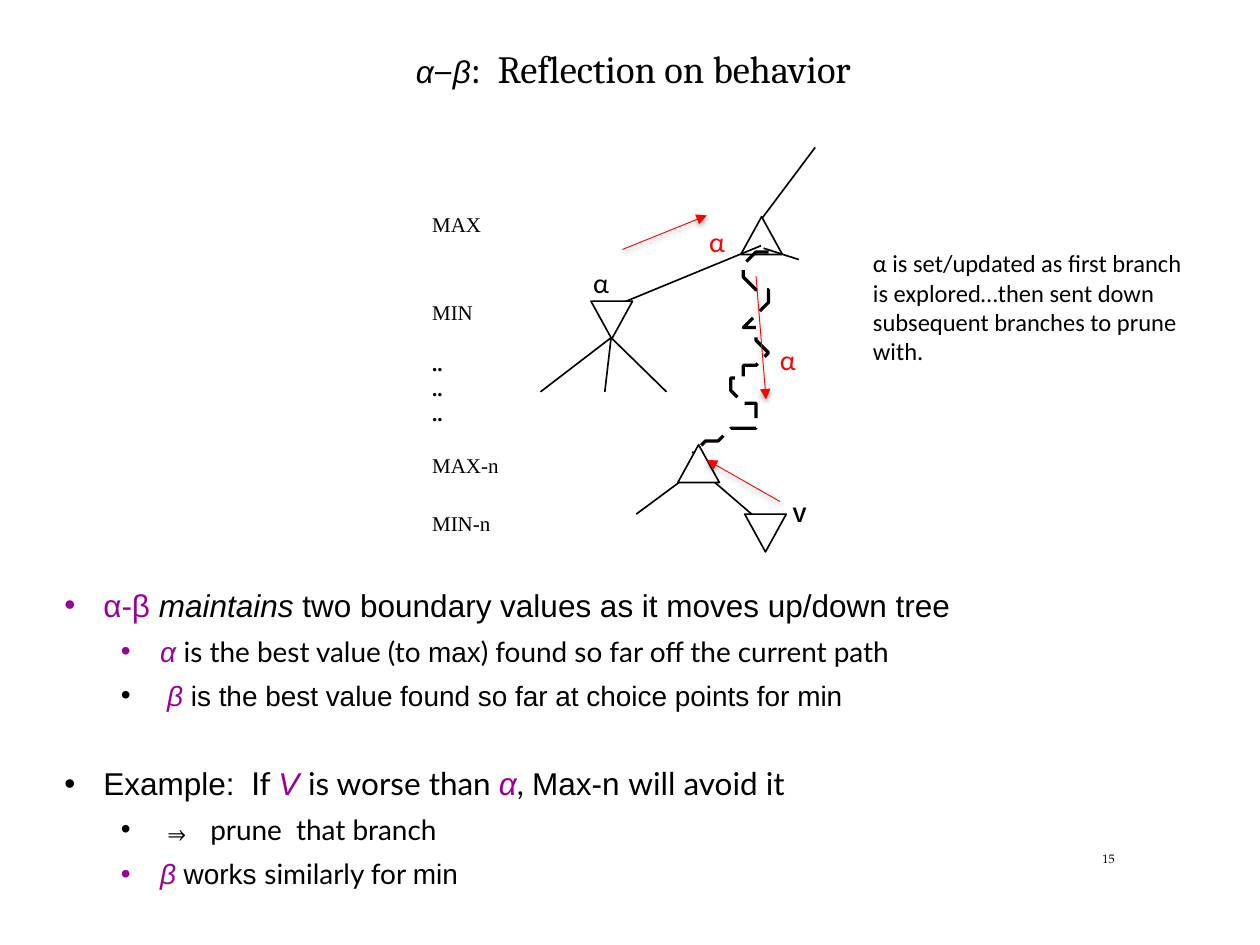
from pptx import Presentation
from pptx.dml.color import RGBColor as RGB
from pptx.enum.shapes import MSO_CONNECTOR as CONN, MSO_SHAPE as SHAPE
from pptx.enum.dml import MSO_LINE as DASH
from pptx.oxml import parse_xml
from pptx.oxml.ns import nsdecls
from pptx.util import Inches, Pt

THEME = {
    "ink": "000000", "paper": "FFFFFF", "accent": "990099", "signal": "FF0000",
    "line": 0.94, "wave": 1.87, "arrow": 0.5,
    "title": 22, "head": 18, "sub": 16, "note": 14, "label": 12, "page": 7,
}

prs = Presentation()
prs.slide_width, prs.slide_height = Inches(10), Inches(7.5)
COL, ROW = prs.slide_width / 100, prs.slide_height / 75
s = prs.slides.add_slide(prs.slide_layouts[6])


def add_text(x, y, w, h, paragraphs, inset=(0, 0), wrap=True):
    """Each paragraph is (format dict, runs); a run is (text, font, size, colour, extras)."""
    tf = s.shapes.add_textbox(int(x * COL), int(y * ROW), int(w * COL), int(h * ROW)).text_frame
    tf.word_wrap = wrap
    tf.margin_left = tf.margin_right = Inches(inset[0])
    tf.margin_top = tf.margin_bottom = Inches(inset[1])
    for i, (fmt, runs) in enumerate(paragraphs):
        p = tf.paragraphs[0] if i == 0 else tf.add_paragraph()
        for name, value in fmt.items():
            setattr(p, name, value)
        for text, font, size, color, *extras in runs:
            for n, part in enumerate(text.split("\n")):
                if n:
                    p.add_line_break()
                r = p.add_run()
                r.text = part
                r.font.color.rgb = RGB.from_string(THEME[color])
                look = {"name": font, "size": Pt(THEME[size])}
                look.update({extra: True for extra in extras})
                for name, value in look.items():
                    setattr(r.font, name, value)
    return tf


def add_line(x1, y1, x2, y2, color="ink", width="line", effect=""):
    sp = s.shapes.add_connector(CONN.STRAIGHT, int(x1 * COL), int(y1 * ROW),
                                int(x2 * COL), int(y2 * ROW))
    sp.line.color.rgb = RGB.from_string(THEME[color])
    sp.line.width = Pt(THEME[width])
    sp._element.spPr.append(parse_xml(f'<a:effectLst {nsdecls("a")}>{effect}</a:effectLst>'))
    return sp


# Title
add_text(33, 4.2, 55, 4, [({"line_spacing": Pt(21.8)}, [
    ("α", "Arial", "head", "ink", "italic"),
    ("–", "Cambria", "title", "ink"),
    ("β", "Arial", "head", "ink", "italic"),
    (":  Reflection on behavior", "Cambria", "title", "ink"),
])])

# Page number
add_text(87.5, 67.6, 3, 1.5, [({}, [("15", "TeX Gyre Pagella", "page", "ink")])])

# Bullets: (level, bullet colour, space before, runs)
BULLETS = [
    (0, "accent", 6, [
        ("α-β ", "Arial", "head", "accent"),
        ("maintains", "Arial", "head", "ink", "italic"),
        (" two boundary values as it moves up/down tree", "Arial", "head", "ink")]),
    (1, "accent", 6, [
        ("α ", "Arial", "sub", "accent", "italic"),
        ("is the best value (to ", "Lato", "sub", "ink"),
        ("max", "Arial", "sub", "ink"),
        (") found so far off the current path", "Lato", "sub", "ink")]),
    (1, "ink", 6, [
        (" ", "Lato", "sub", "ink"),
        ("β", "Arial", "sub", "accent", "italic"),
        (" is the best value found so far at choice points for min", "Arial", "sub", "ink")]),
    (0, "ink", 30, [
        ("Example: ", "Arial", "head", "ink"),
        (" If ", "Lato", "head", "ink"),
        ("V ", "Arial", "head", "accent", "italic"),
        ("is worse than ", "Lato", "head", "ink"),
        ("α", "Arial", "head", "accent", "italic"),
        (", ", "Lato", "head", "ink"),
        ("Max-n ", "Arial", "head", "ink"),
        ("will avoid it", "Lato", "head", "ink")]),
    (1, "ink", 6, [
        ("⇒ ", "Noto Sans Mono", "sub", "ink"),
        ("prune  that branch", "Lato", "sub", "ink")]),
    (1, "accent", 6, [
        ("β ", "Arial", "sub", "accent", "italic"),
        ("works ", "Arial", "sub", "ink"),
        ("similarly for ", "Lato", "sub", "ink"),
        ("min", "Arial", "sub", "ink")]),
]
tf = add_text(5, 46.5, 79.2, 24.3, [
    ({"level": level, "space_before": Pt(gap)}, runs) for level, _, gap, runs in BULLETS])
for p, (level, color, _, _) in zip(tf.paragraphs, BULLETS):
    pPr = p._p.get_or_add_pPr()
    pPr.set("marL", str(Inches((0.32, 0.77)[level])))
    pPr.set("indent", str(Inches(-0.31)))
    for xml in (f'<a:buClr {nsdecls("a")}><a:srgbClr val="{THEME[color]}"/></a:buClr>',
                f'<a:buFont {nsdecls("a")} typeface="Arial"/>',
                f'<a:buChar {nsdecls("a")} char="•"/>'):
        pPr.append(parse_xml(xml))

# Dashed path from the MAX node down to MAX-n
WAVE = [
    (60.6, 19.7), (60.3, 19.9), (59.7, 20.4), (59.1, 20.9), (58.9, 21.5), (59.3, 22.2),
    (60.2, 22.7), (60.9, 23.2), (61.2, 23.7), (60.8, 24.3), (60.2, 24.7), (59.6, 25.2),
    (59.3, 25.7), (59.8, 26.3), (60.5, 26.9), (61, 27.7), (60.6, 28.4), (60, 28.8),
    (59.3, 29.2), (58.6, 29.6), (58, 30.1), (57.8, 30.6), (58.2, 31.3), (58.9, 31.7),
    (59.6, 32.3), (60, 32.9), (59.6, 33.5), (58.9, 33.9), (58.2, 34.3), (57.3, 34.6),
    (56.5, 35), (55.8, 35.4), (55.4, 35.7),
]
fb = s.shapes.build_freeform(*WAVE[0], scale=COL)
fb.add_line_segments(WAVE[1:], close=False)
sp = fb.convert_to_shape()
sp.shadow.inherit = False
sp.fill.background()
sp.line.color.rgb = RGB.from_string(THEME["ink"])
sp.line.width = Pt(THEME["wave"])
sp.line.dash_style = DASH.LONG_DASH

# Tree branches
for ends in [(60.5, 17.3, 64.7, 11.7), (60.6, 19.7, 63.4, 20.6), (60.4, 19.5, 48.5, 24.4),
             (48.5, 26.8, 42.9, 31.1), (48.5, 26.8, 48, 31.1), (48.5, 26.8, 52.9, 31.1),
             (55.1, 37.4, 50.5, 40.8), (55.7, 37.4, 60, 41.1)]:
    add_line(*ends)

# Nodes: MAX points up, MIN points down
for x, y, turn, filled in [(58.8, 17.2, 0, False), (46.9, 23.9, 180, True),
                           (53.8, 35.3, 0, True), (59.1, 40.8, 180, True)]:
    sp = s.shapes.add_shape(SHAPE.ISOSCELES_TRIANGLE, int(x * COL), int(y * ROW),
                            int(3.3 * COL), int(3 * ROW))
    sp.shadow.inherit = False
    sp.rotation = turn
    if filled:
        sp.fill.solid()
        sp.fill.fore_color.rgb = RGB.from_string(THEME["paper"])
    else:
        sp.fill.background()
    sp.line.color.rgb = RGB.from_string(THEME["ink"])
    sp.line.width = Pt(THEME["line"])

# Level labels
for y, text, *extras in [(16.8, "MAX"), (23.8, "MIN"), (27.8, "..\n..\n..", "bold"),
                         (35.9, "MAX-n"), (40.5, "MIN-n")]:
    add_text(34.3, y, 7, 2 * (text.count("\n") + 1),
             [({}, [(text, "Times New Roman", "label", "ink", *extras)])])

# Node values
add_text(62.9, 39.8, 2, 2, [({}, [("V", "Arial", "label", "ink", "bold")])])
for x, y, color in [(46.1, 20.6, "ink"), (55.3, 17.3, "signal"), (60.9, 26.7, "signal")]:
    add_text(x, y, 3.2, 3.6, [({}, [("α", "Calibri", "sub", color)])], (0.1, 0.05), wrap=False)

# Arrows showing how alpha travels
SHADOW = (f'<a:outerShdw blurRad="{Pt(3.1)}" dist="{Pt(1.6)}" dir="5400000" rotWithShape="0">'
          f'<a:srgbClr val="{THEME["ink"]}"><a:alpha val="38000"/></a:srgbClr></a:outerShdw>')
for ends in [(49.4, 19.8, 56.1, 17.1), (61.9, 39.8, 56.1, 36.5), (60, 21.9, 60.8, 31.7)]:
    sp = add_line(*ends, "signal", "arrow", SHADOW)
    sp.line._get_or_add_ln().append(parse_xml(f'<a:tailEnd {nsdecls("a")} type="triangle"/>'))

# Side note
add_text(68.3, 19.2, 30, 10.3, [({}, [(
    "α is set/updated as first branch\nis explored…then sent down\nsubsequent branches to prune with.",
    "Calibri", "note", "ink")])], (0.1, 0.05))

prs.save("out.pptx")
